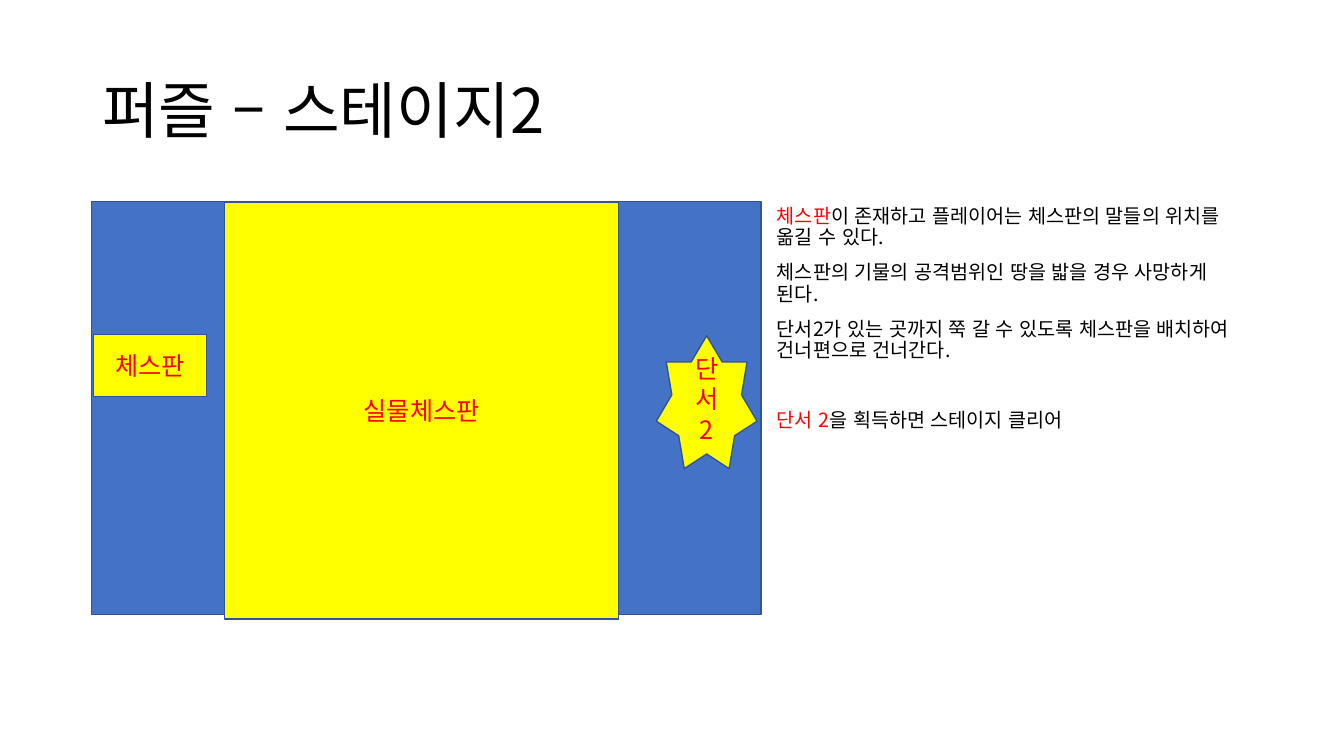
from dataclasses import dataclass

from lxml import etree
from pptx import Presentation
from pptx import util as u
from pptx.dml.color import RGBColor
from pptx.enum import lang, shapes, text
from pptx.oxml.ns import qn


@dataclass(frozen=True)
class Theme:
    """Colours, font and type sizes of the slide."""

    font: str = "Noto Sans CJK KR"
    ink: RGBColor = RGBColor(0, 0, 0)
    accent: RGBColor = RGBColor(0xFF, 0, 0)
    ground: RGBColor = RGBColor(0x44, 0x72, 0xC4)
    piece: RGBColor = RGBColor(0xFF, 0xFF, 0)
    outline: RGBColor = RGBColor(0x32, 0x54, 0x91)
    title: int = 44
    label: int = 18
    body: int = 14


THEME = Theme()


def add_run(paragraph, words, size, color):
    """Append one styled Korean run to a paragraph."""
    run = paragraph.add_run()
    run.text = words
    font = run.font
    font.name, font.size = THEME.font, u.Pt(size)
    font.color.rgb = color
    font.language_id = lang.MSO_LANGUAGE_ID.KOREAN
    latin = font._element.find(qn("a:latin"))
    latin.addnext(etree.Element(qn("a:ea"), typeface=THEME.font))


def add_text(slide, box, paragraphs, size, anchor):
    """Add a text box from pairs of space before and coloured runs."""
    frame = slide.shapes.add_textbox(*map(u.Cm, box)).text_frame
    frame.word_wrap = True
    frame.vertical_anchor = anchor
    for index, (space, runs) in enumerate(paragraphs):
        paragraph = frame.add_paragraph() if index else frame.paragraphs[0]
        paragraph.line_spacing = 0.9
        paragraph.space_before = u.Pt(space)
        for words, color in runs:
            add_run(paragraph, words, size, color)


def add_piece(slide, kind, box, fill, label=""):
    """Add an outlined shape with an optional centred label."""
    shape = slide.shapes.add_shape(kind, *map(u.Cm, box))
    shape.shadow.inherit = False
    shape.fill.solid()
    shape.fill.fore_color.rgb = fill
    shape.line.color.rgb = THEME.outline
    shape.line.width = u.Pt(1)
    if label:
        frame = shape.text_frame
        frame.word_wrap = True
        frame.vertical_anchor = text.MSO_ANCHOR.MIDDLE
        paragraph = frame.paragraphs[0]
        paragraph.alignment = text.PP_ALIGN.CENTER
        add_run(paragraph, label, THEME.label, THEME.accent)


def main():
    """Build the puzzle stage slide and save it."""
    presentation = Presentation()
    presentation.slide_width = u.Cm(33.87)
    presentation.slide_height = u.Cm(19.05)
    slide = presentation.slides.add_slide(presentation.slide_layouts[6])
    ink, accent = THEME.ink, THEME.accent

    add_text(slide, (2.33, 1.01, 29.21, 3.68), [(0, [("퍼즐 – 스테이지2", ink)])],
             THEME.title, text.MSO_ANCHOR.MIDDLE)

    rules = [
        (10, [("체스판", accent),
              ("이 존재하고 플레이어는 체스판의 말들의 위치를 옮길 수 있다.", ink)]),
        (10, [("체스판의 기물의 공격범위인 땅을 밟을 경우 사망하게 된다.", ink)]),
        (10, [("단서2가 있는 곳까지 쭉 갈 수 있도록 체스판을 배치하여 건너편으로 건너간다.", ink)]),
        (35, [("단서 2", accent), ("을 획득하면 스테이지 클리어", ink)]),
    ]
    add_text(slide, (19.33, 5.08, 12.22, 12.09), rules, THEME.body, text.MSO_ANCHOR.TOP)

    rectangle = shapes.MSO_SHAPE.RECTANGLE
    star = shapes.MSO_SHAPE.STAR_7_POINT
    add_piece(slide, rectangle, (2.31, 5.08, 16.87, 10.41), THEME.ground)
    add_piece(slide, rectangle, (2.36, 8.43, 2.84, 1.57), THEME.piece, "체스판")
    add_piece(slide, star, (16.54, 8.46, 2.54, 3.35), THEME.piece, "단서2")
    add_piece(slide, rectangle, (5.66, 5.11, 9.93, 10.49), THEME.piece, "실물체스판")

    presentation.save("out.pptx")


if __name__ == "__main__":
    main()
